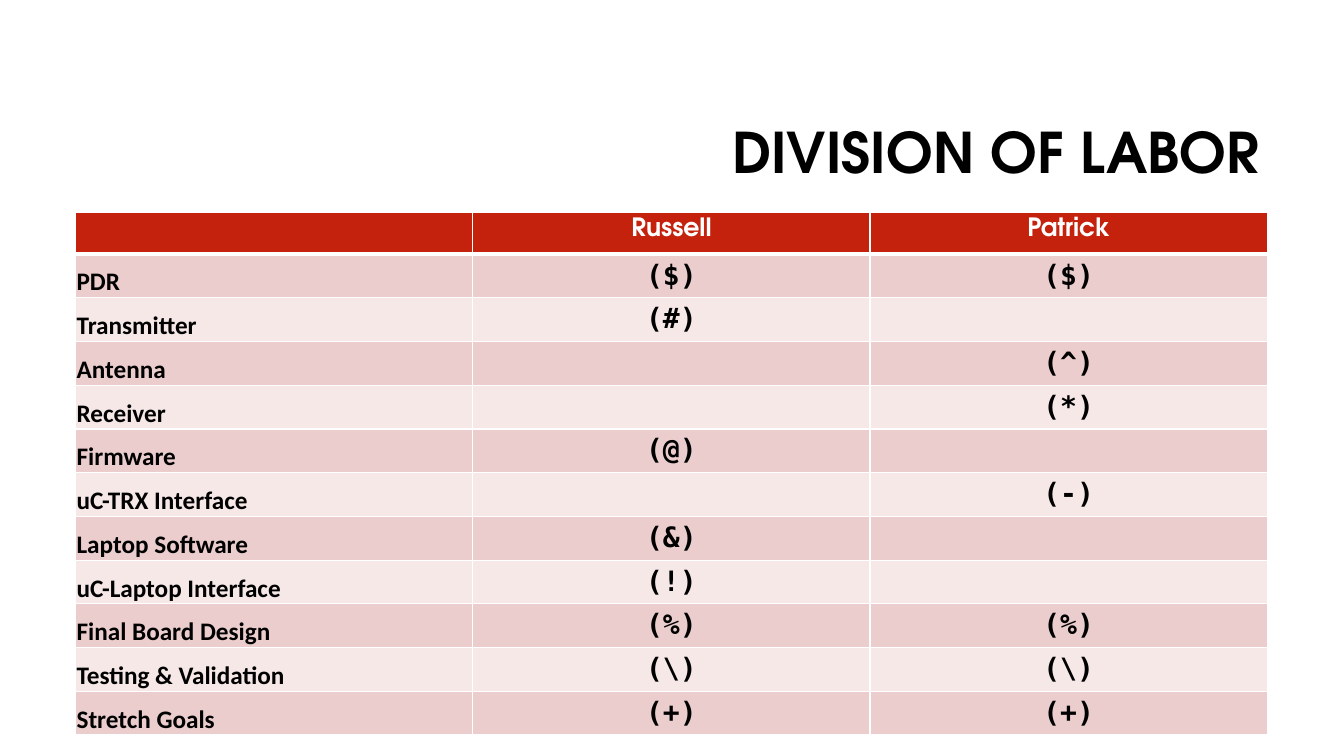
from dataclasses import dataclass

from lxml import etree
from pptx import Presentation
from pptx.dml.color import RGBColor
from pptx.enum.text import MSO_ANCHOR, PP_ALIGN
from pptx.oxml.ns import qn
from pptx.util import Inches, Pt

LEFT, CENTER, RIGHT = PP_ALIGN.LEFT, PP_ALIGN.CENTER, PP_ALIGN.RIGHT
TOP, MIDDLE, BOTTOM = MSO_ANCHOR.TOP, MSO_ANCHOR.MIDDLE, MSO_ANCHOR.BOTTOM

COLORS = {
    "text": "000000",
    "white": "FFFFFF",
    "header": "C4220D",
    "odd": "EACDCC",
    "even": "F5E8E7",
}
COL_WIDTH, ROW_HEIGHT = 3.94, 0.41
THIN, THICK = 1, 3


@dataclass
class TextStyle:
    font: str
    size: int
    color: str
    align: PP_ALIGN


@dataclass
class Task:
    name: str
    russell: str = ""
    patrick: str = ""


TITLE = TextStyle("TeX Gyre Adventor", 40, "text", RIGHT)
HEADER = TextStyle("TeX Gyre Adventor", 18, "white", CENTER)
NAME = TextStyle("Calibri", 18, "text", LEFT)
MARK = TextStyle("DejaVu Sans Mono", 20, "text", CENTER)

PEOPLE = ["", "Russell", "Patrick"]
TASKS = [
    Task("PDR", "($)", "($)"),
    Task("Transmitter", russell="(#)"),
    Task("Antenna", patrick="(^)"),
    Task("Receiver", patrick="(*)"),
    Task("Firmware", russell="(@)"),
    Task("uC-TRX Interface", patrick="(-)"),
    Task("Laptop Software", russell="(&)"),
    Task("uC-Laptop Interface", russell="(!)"),
    Task("Final Board Design", "(%)", "(%)"),
    Task("Testing & Validation", "(\\)", "(\\)"),
    Task("Stretch Goals", "(+)", "(+)"),
]


def write(p, text: str, style: TextStyle) -> None:
    p.text = text
    p.alignment = style.align
    p.font.name = style.font
    p.font.size = Pt(style.size)
    p.font.bold = True
    p.font.color.rgb = RGBColor.from_string(COLORS[style.color])


def set_borders(cell, top: int, bottom: int) -> None:
    tc_pr = cell._tc.get_or_add_tcPr()
    widths = {"a:lnL": THIN, "a:lnR": THIN, "a:lnT": top, "a:lnB": bottom}
    for i, (tag, width) in enumerate(widths.items()):
        ln = etree.Element(qn(tag), w=str(Pt(width)))
        fill = etree.SubElement(ln, qn("a:solidFill"))
        etree.SubElement(fill, qn("a:srgbClr"), val=COLORS["white"])
        tc_pr.insert(i, ln)


def fill_cell(cell, text: str, style: TextStyle, fill: str) -> None:
    write(cell.text_frame.paragraphs[0], text, style)
    cell.fill.solid()
    cell.fill.fore_color.rgb = RGBColor.from_string(COLORS[fill])
    if style is NAME:
        cell.vertical_anchor = BOTTOM
        cell.margin_left = cell.margin_right = cell.margin_top = Inches(0.01)
        cell.margin_bottom = 0
    else:
        cell.vertical_anchor = TOP


def add_title(slide, text: str) -> None:
    sp = slide.shapes.add_textbox(Inches(3.17), Inches(0.84), Inches(9.42), Inches(1.41))
    tf = sp.text_frame
    tf.word_wrap = True
    tf.vertical_anchor = MIDDLE
    p = tf.paragraphs[0]
    write(p, text, TITLE)
    p.line_spacing = 0.9


def add_labor_table(slide) -> None:
    rows, cols = len(TASKS) + 1, len(PEOPLE)
    table = slide.shapes.add_table(
        rows, cols, Inches(0.75), Inches(2.11),
        Inches(COL_WIDTH * cols), Inches(ROW_HEIGHT * rows),
    ).table
    table.first_row = table.horz_banding = False
    for col in table.columns:
        col.width = Inches(COL_WIDTH)
    for row in table.rows:
        row.height = Inches(ROW_HEIGHT)

    # Header row
    for c, person in enumerate(PEOPLE):
        cell = table.cell(0, c)
        fill_cell(cell, person, HEADER, "header")
        set_borders(cell, THIN, THICK)

    # Task rows in alternating bands
    for r, task in enumerate(TASKS, start=1):
        band = "odd" if r % 2 else "even"
        for c, text in enumerate([task.name, task.russell, task.patrick]):
            cell = table.cell(r, c)
            fill_cell(cell, text, MARK if c else NAME, band)
            set_borders(cell, THICK if r == 1 else THIN, THIN)


def main() -> None:
    prs = Presentation()
    prs.slide_width, prs.slide_height = Inches(13.33), Inches(7.5)
    slide = prs.slides.add_slide(prs.slide_layouts[6])
    add_title(slide, "DIVISION OF LABOR")
    add_labor_table(slide)
    prs.save("out.pptx")


if __name__ == "__main__":
    main()
